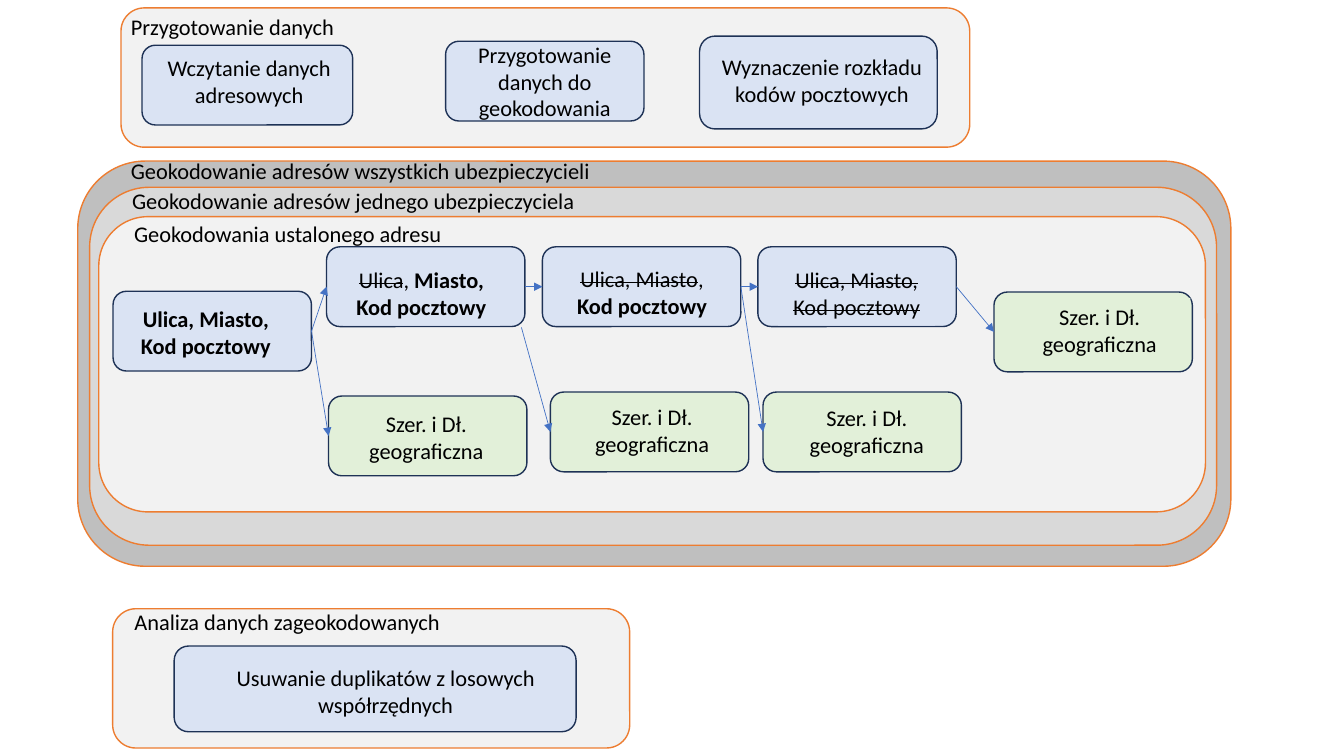
from dataclasses import dataclass

from lxml import etree
from pptx import Presentation
from pptx.dml.color import RGBColor
from pptx.enum.shapes import MSO_CONNECTOR, MSO_SHAPE
from pptx.enum.text import MSO_ANCHOR, MSO_AUTO_SIZE, PP_ALIGN
from pptx.oxml.ns import qn
from pptx.util import Cm, Pt

ROUNDED = MSO_SHAPE.ROUNDED_RECTANGLE
RECTANGLE = MSO_SHAPE.RECTANGLE
STRAIGHT = MSO_CONNECTOR.STRAIGHT
GROW = MSO_AUTO_SIZE.SHAPE_TO_FIT_TEXT
MIDDLE = MSO_ANCHOR.MIDDLE
CENTER = PP_ALIGN.CENTER
LEFT_SITE, RIGHT_SITE = 1, 3
PLAIN, BOLD, STRUCK = "plain", "bold", "struck"


@dataclass(frozen=True)
class Theme:
    """Colours, type and line widths of the slide."""
    font: str = "Calibri"
    size: float = 16
    text: str = "000000"
    panel: str = "F2F2F2"
    middle_panel: str = "D9D9D9"
    outer_panel: str = "BFBFBF"
    panel_line: str = "ED7D31"
    process: str = "DAE3F3"
    result: str = "E2F0D9"
    step_line: str = "1E3256"
    arrow: str = "4472C4"
    outline: float = 1
    arrow_width: float = 0.5


THEME = Theme()
STEP_SIZE = (5.0, 2.01)
LABEL_HEIGHT = 1.63
CAPTION_HEIGHT = 0.94
RESULT_TEXT = [("Szer. i Dł. geograficzna", PLAIN)]


def inside(box, left, top, width, height):
    """Return a box placed relative to the corner of another box."""
    return box[0] + left, box[1] + top, width, height


def add_box(slide, kind, box, fill, line=None):
    """Add a flat filled shape, outlined if a line colour is given."""
    shape = slide.shapes.add_shape(kind, *map(Cm, box))
    shape.shadow.inherit = False
    shape.fill.solid()
    shape.fill.fore_color.rgb = RGBColor.from_string(fill)
    if line:
        shape.line.color.rgb = RGBColor.from_string(line)
        shape.line.width = Pt(THEME.outline)
    else:
        shape.line.fill.background()
    return shape


def write(shape, runs, alignment=None):
    """Write styled runs into the first paragraph of a shape."""
    shape.text_frame.word_wrap = True
    paragraph = shape.text_frame.paragraphs[0]
    paragraph.alignment = alignment
    for text, style in runs:
        run = paragraph.add_run()
        run.text = text
        run.font.name = THEME.font
        run.font.size = Pt(THEME.size)
        run.font.color.rgb = RGBColor.from_string(THEME.text)
        run.font.bold = style == BOLD
        if style == STRUCK:
            run._r.get_or_add_rPr().set("strike", "sngStrike")


def add_caption(slide, box, left, top, width, text):
    """Add a region caption relative to the region box."""
    position = inside(box, left, top, width, CAPTION_HEIGHT)
    caption = slide.shapes.add_textbox(*map(Cm, position))
    write(caption, [(text, PLAIN)])
    caption.text_frame.auto_size = GROW


def add_step(slide, box, fill, runs, label=None):
    """Add a step whose text sits in it or in a label (left, top, width)."""
    step = add_box(slide, ROUNDED, box, fill, THEME.step_line)
    if label:
        holder = add_box(slide, RECTANGLE, inside(box, *label, LABEL_HEIGHT), fill)
        holder.text_frame.vertical_anchor = MSO_ANCHOR.TOP
        holder.text_frame.auto_size = GROW
    else:
        holder = step
        holder.text_frame.vertical_anchor = MIDDLE
    write(holder, runs, CENTER)
    return step


def add_arrow(slide, source, target, start=None):
    """Join two steps, leaving from a free start point if one is given."""
    begin = map(Cm, start or (0, 0))
    arrow = slide.shapes.add_connector(STRAIGHT, *begin, 0, 0)
    if not start:
        arrow.begin_connect(source, RIGHT_SITE)
    arrow.end_connect(target, LEFT_SITE)
    arrow.line.color.rgb = RGBColor.from_string(THEME.arrow)
    arrow.line.width = Pt(THEME.arrow_width)
    etree.SubElement(arrow.line._get_or_add_ln(), qn("a:tailEnd"), type="triangle")
    etree.SubElement(arrow._element.spPr, qn("a:effectLst"))


def add_preparation(slide, box):
    """Build the data preparation region."""
    add_box(slide, ROUNDED, box, THEME.panel, THEME.panel_line)
    add_caption(slide, box, 0, 0, 8.59, "Przygotowanie danych")
    steps = [
        ((0.53, 0.94, 5.31, 2.01), "Wczytanie danych adresowych", (0.2, 0.1, 5.0)),
        ((8.18, 0.84, *STEP_SIZE), "Przygotowanie danych do geokodowania", None),
        ((14.58, 0.71, 5.99, 2.34), "Wyznaczenie rozkładu kodów pocztowych",
         (0.28, 0.3, 5.61)),
    ]
    for place, text, label in steps:
        add_step(slide, inside(box, *place), THEME.process, [(text, PLAIN)], label)


def add_geocoding(slide, box):
    """Build the nested geocoding region with its flow of steps."""
    layers = [
        ((0, 0, *box[2:]), THEME.outer_panel),
        ((0.3, 0.66, 28.4, 9.02), THEME.middle_panel),
        ((0.53, 1.4, 27.89, 7.44), THEME.panel),
    ]
    for place, fill in layers:
        add_box(slide, ROUNDED, inside(box, *place), fill, THEME.panel_line)
    captions = [
        (1.09, -0.23, 15.77, "Geokodowanie adresów wszystkich ubezpieczycieli"),
        (1.12, 0.53, 14.78, "Geokodowanie adresów jednego ubezpieczyciela"),
        (1.17, 1.37, 8.59, "Geokodowania ustalonego adresu"),
    ]
    for caption in captions:
        add_caption(slide, box, *caption)

    attempts = [
        (0.89, 3.28, (0.36, 0.23), [("Ulica, Miasto, Kod pocztowy", BOLD)]),
        (6.27, 2.16, (0.41, 0.36),
         [("Ulica", STRUCK), (", ", PLAIN), ("Miasto, Kod pocztowy", BOLD)]),
        (11.71, 2.16, (0.53, 0.33),
         [("Ulica, Miasto", STRUCK), (", ", PLAIN), ("Kod pocztowy", BOLD)]),
        (17.14, 2.16, (0.51, 0.36), [("Ulica, Miasto, Kod pocztowy", STRUCK)]),
    ]
    results = [
        (6.32, 5.92, (0.18, 0.23)),
        (11.91, 5.82, (0.28, 0.15)),
        (17.27, 5.82, (0.33, 0.18)),
        (23.09, 3.3, (0.38, 0.15)),
    ]
    attempt_steps = [
        add_step(slide, inside(box, left, top, *STEP_SIZE), THEME.process,
                 runs, (*offset, 3.96))
        for left, top, offset, runs in attempts
    ]
    result_steps = [
        add_step(slide, inside(box, left, top, *STEP_SIZE), THEME.result,
                 RESULT_TEXT, (*offset, 4.57))
        for left, top, offset in results
    ]
    for source, target in zip(attempt_steps, attempt_steps[1:]):
        add_arrow(slide, source, target)
    starts = [None, (box[0] + 11.18, box[1] + 4.19), None, None]
    for source, target, start in zip(attempt_steps, result_steps, starts):
        add_arrow(slide, source, target, start)


def add_analysis(slide, box):
    """Build the region for analysis of geocoded data."""
    add_box(slide, ROUNDED, box, THEME.panel, THEME.panel_line)
    add_caption(slide, box, 0.3, -0.15, 10.13, "Analiza danych zageokodowanych")
    add_step(slide, inside(box, 1.55, 0.94, 10.13, 2.16), THEME.process,
             [("Usuwanie duplikatów z losowych współrzędnych", PLAIN)],
             (1.24, 0.33, 8.18))


def main():
    """Build and save the presentation."""
    presentation = Presentation()
    presentation.slide_width = Cm(33.87)
    presentation.slide_height = Cm(19.05)
    slide = presentation.slides.add_slide(presentation.slide_layouts[6])
    add_preparation(slide, (3.05, 0.2, 21.39, 3.51))
    add_geocoding(slide, (1.96, 4.06, 29.06, 10.21))
    add_analysis(slide, (2.84, 15.34, 13.03, 3.51))
    presentation.save("out.pptx")


if __name__ == "__main__":
    main()
